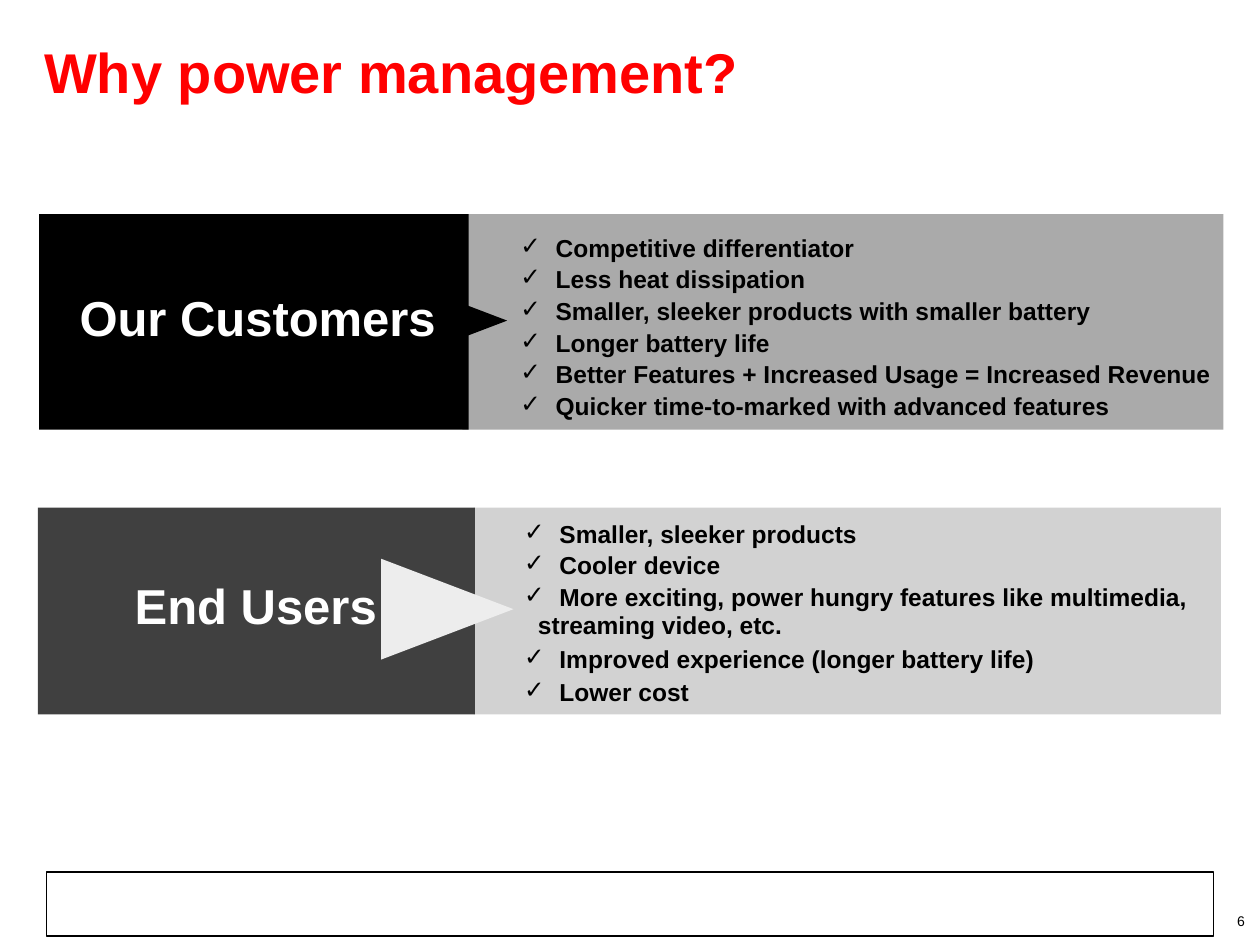
from dataclasses import dataclass
from typing import NamedTuple

import pptx
import pptx.dml.color
import pptx.enum.shapes
import pptx.enum.text
import pptx.oxml.ns
import pptx.util
from lxml import etree

Shape = pptx.enum.shapes.MSO_SHAPE
Align = pptx.enum.text.PP_ALIGN
Anchor = pptx.enum.text.MSO_ANCHOR
CELL = 0.1  # inches; the slide is a grid of 100 columns by 75 rows
COLUMNS, ROWS = 100, 75


@dataclass(frozen=True)
class Theme:
    font: str = "Arial"
    title_color: str = "FF0000"
    text_color: str = "000000"
    label_color: str = "FFFFFF"
    title_size: float = 32
    label_size: float = 28
    list_size: float = 14
    number_size: float = 8


THEME = Theme()


class Area(NamedTuple):
    column: float
    row: float
    columns: float
    rows: float


class Item(NamedTuple):
    text: str
    space_before: float = 8.8
    checked: bool = True


@dataclass(frozen=True)
class Panel:
    label: str
    label_area: Area
    dark: Area
    dark_color: str
    light: Area
    light_color: str
    arrow: Area
    arrow_color: str
    list_area: Area
    items: tuple[Item, ...]


PANELS = (
    Panel(
        "Our Customers", Area(0.8, 22.3, 39.3, 5.7),
        Area(3.1, 17, 34.1, 17.1), "000000",
        Area(36.7, 17, 60.4, 17.1), "AAAAAA",
        Area(31, 20.2, 8, 10.5), "000000",
        Area(40.3, 18.9, 57.6, 14.8),
        (
            Item("Competitive differentiator", 0),
            Item("Less heat dissipation"),
            Item("Smaller, sleeker products with smaller battery"),
            Item("Longer battery life"),
            Item("Better Features + Increased Usage = Increased Revenue"),
            Item("Quicker time-to-marked with advanced features"),
        ),
    ),
    Panel(
        "End Users", Area(0.8, 45.2, 39, 5.7),
        Area(3, 40.3, 34.7, 16.4), "404040",
        Area(37.6, 40.3, 59.3, 16.4), "D2D2D2",
        Area(31.5, 43.1, 8, 10.5), "EDEDED",
        Area(40.6, 41.6, 60.4, 14.9),
        (
            Item("Smaller, sleeker products", 0),
            Item("Cooler device"),
            Item("More exciting, power hungry features like multimedia,"),
            Item("streaming video, etc.", 0, checked=False),
            Item("Improved experience (longer battery life)", 9.6),
            Item("Lower cost", 9.6),
        ),
    ),
)


def grid(cells: float) -> int:
    return pptx.util.Inches(round(cells * CELL, 2))


def color(value: str) -> pptx.dml.color.RGBColor:
    return pptx.dml.color.RGBColor.from_string(value)


def place(box, area: Area) -> None:
    box.left, box.top, box.width, box.height = map(grid, area)


def bring_to_front(box) -> None:
    box.element.getparent().append(box.element)


def style(para, size: float, value: str, bold: bool = True) -> None:
    para.font.name = THEME.font
    para.font.size = pptx.util.Pt(size)
    para.font.bold = bold
    para.font.color.rgb = color(value)


def set_bullet(para, checked: bool) -> None:
    """Hang the text after a check mark, or indent it slightly without one."""
    props = para._p.get_or_add_pPr()
    margin = 2.8 if checked else 1.1
    props.set("marL", str(grid(margin)))
    props.set("indent", str(-grid(margin) if checked else 0))
    if not checked:
        etree.SubElement(props, pptx.oxml.ns.qn("a:buNone"))
        return
    tint = etree.SubElement(props, pptx.oxml.ns.qn("a:buClr"))
    etree.SubElement(tint, pptx.oxml.ns.qn("a:srgbClr"), val=THEME.text_color)
    etree.SubElement(props, pptx.oxml.ns.qn("a:buChar"), char="✓")


def add_block(page, kind, area: Area, fill: str):
    block = page.shapes.add_shape(kind, *map(grid, area))
    block.shadow.inherit = False
    block.fill.solid()
    block.fill.fore_color.rgb = color(fill)
    block.line.fill.background()
    return block


def add_text(page, text: str, area: Area, size: float, value: str, align, bold: bool) -> None:
    box = page.shapes.add_textbox(*map(grid, area))
    box.text_frame.word_wrap = True
    para = box.text_frame.paragraphs[0]
    para.text, para.alignment = text, align
    style(para, size, value, bold)


def fill_list(box, panel: Panel) -> None:
    place(box, panel.list_area)
    frame = box.text_frame
    frame.auto_size = pptx.enum.text.MSO_AUTO_SIZE.NONE
    frame.vertical_anchor = Anchor.TOP
    for index, item in enumerate(panel.items):
        para = frame.add_paragraph() if index else frame.paragraphs[0]
        para.text = item.text
        set_bullet(para, item.checked)
        para.space_before = pptx.util.Pt(item.space_before)
        para.line_spacing = 0.55 if item.checked else 1.0
        style(para, THEME.list_size, THEME.text_color)
    bring_to_front(box)


def add_panel(page, panel: Panel, list_box) -> None:
    add_block(page, Shape.RECTANGLE, panel.light, panel.light_color)
    add_block(page, Shape.RECTANGLE, panel.dark, panel.dark_color)
    arrow = add_block(page, Shape.ISOSCELES_TRIANGLE, panel.arrow, panel.arrow_color)
    arrow.rotation = 90
    add_text(page, panel.label, panel.label_area, THEME.label_size,
             THEME.label_color, Align.CENTER, True)
    fill_list(list_box, panel)


def add_footer_frame(page) -> None:
    frame = add_block(page, Shape.RECTANGLE, Area(3.7, 69.2, 92.6, 5.1), THEME.label_color)
    frame.fill.background()
    frame.line.color.rgb = color(THEME.text_color)
    frame.line.width = pptx.util.Pt(0.75)


def set_title(page, text: str) -> None:
    title = page.shapes.title
    place(title, Area(2.5, 1.6, 92.5, 8.9))
    title.text_frame.vertical_anchor = Anchor.MIDDLE
    para = title.text_frame.paragraphs[0]
    para.text, para.alignment, para.line_spacing = text, Align.LEFT, 0.85
    style(para, THEME.title_size, THEME.title_color)
    bring_to_front(title)


def main() -> None:
    deck = pptx.Presentation()
    deck.slide_width, deck.slide_height = grid(COLUMNS), grid(ROWS)
    page = deck.slides.add_slide(deck.slide_layouts.get_by_name("Two Content"))
    list_boxes = [box for box in page.placeholders if box.placeholder_format.idx > 0]
    add_footer_frame(page)
    for panel, list_box in zip(PANELS, list_boxes):
        add_panel(page, panel, list_box)
    set_title(page, "Why power management?")
    add_text(page, "6", Area(76.5, 71.9, 23.3, 2.3), THEME.number_size,
             THEME.text_color, Align.RIGHT, False)
    deck.save("out.pptx")


if __name__ == "__main__":
    main()
